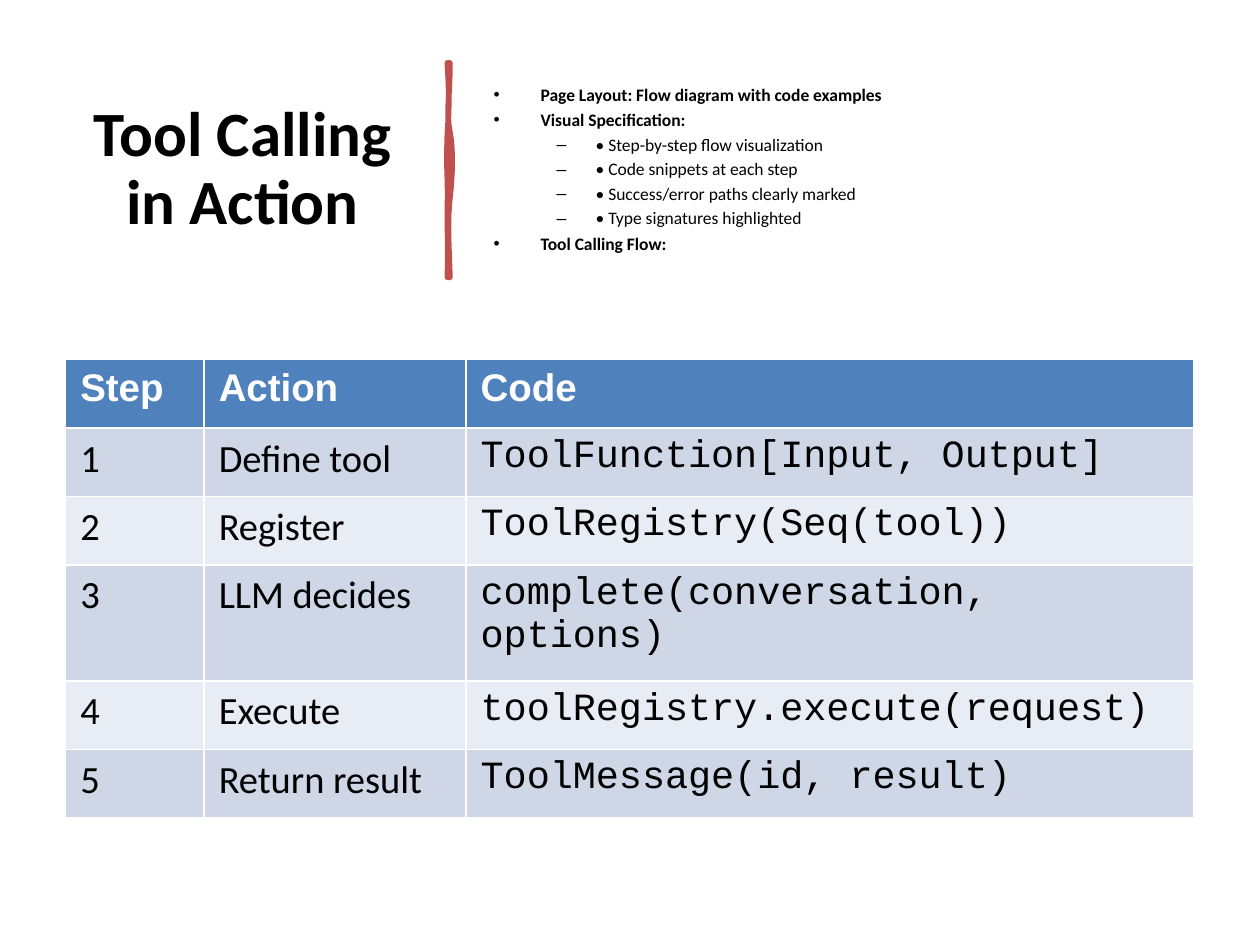
"""Build a slide on the steps of tool calling, with a bulleted outline and a code table."""
from typing import NamedTuple

from lxml.etree import SubElement
from pptx import Presentation
from pptx.dml.color import RGBColor
from pptx.enum.text import MSO_ANCHOR as Anchor, MSO_AUTO_SIZE as AutoSize, PP_ALIGN as Align
from pptx.oxml.ns import qn
from pptx.util import Cm, Pt

BLACK, WHITE, RED, BLUE = "000000", "FFFFFF", "C0504D", "4F81BD"
BANDS = ("CFD7E7", "E8ECF4")
LEFT, TOP, HEADER_HEIGHT = 1.32, 1.4, 4.06


class OutlineLevel(NamedTuple):
    marker: str
    margin: float
    hanging: float
    space_before: float
    bold: bool


class OutlineItem(NamedTuple):
    text: str
    level: int = 0


class Step(NamedTuple):
    number: str
    action: str
    code: str
    height: float = 1.38


LEVELS = (
    OutlineLevel("•", 0.95, 0.95, 3.6, True),
    OutlineLevel("–", 2.06, 0.79, 3.2, False),
)
OUTLINE = (
    OutlineItem("Page Layout: Flow diagram with code examples"),
    OutlineItem("Visual Specification:"),
    OutlineItem("• Step-by-step flow visualization", 1),
    OutlineItem("• Code snippets at each step", 1),
    OutlineItem("• Success/error paths clearly marked", 1),
    OutlineItem("• Type signatures highlighted", 1),
    OutlineItem("Tool Calling Flow:"),
)
STEPS = (
    Step("Step", "Action", "Code"),
    Step("1", "Define tool", "ToolFunction[Input, Output]"),
    Step("2", "Register", "ToolRegistry(Seq(tool))"),
    Step("3", "LLM decides", "complete(conversation, options)", 2.34),
    Step("4", "Execute", "toolRegistry.execute(request)"),
    Step("5", "Return result", "ToolMessage(id, result)"),
)
COLUMN_WIDTHS = (2.79, 5.28, 14.68)
BRUSH_START = (9.07, 1.27)
BRUSH_CURVES = (
    ((9.07, 1.96), (8.99, 2.29), (9.07, 2.67)),
    ((9.14, 3.05), (9.12, 3.53), (9.07, 3.99)),
    ((9.02, 4.42), (9.04, 4.8), (9.07, 5.59)),
    ((9.07, 5.59), (9.04, 5.59), (9.02, 5.59)),
    ((9.04, 4.98), (9.02, 4.9), (9.02, 4.24)),
    ((9.04, 3.56), (8.99, 3.45), (9.02, 2.72)),
    ((9.07, 1.96), (9.04, 1.65), (9.02, 1.27)),
)


def rgb(value: str) -> RGBColor:
    return RGBColor.from_string(value)


def set_font(paragraph, size: float, name: str, color: str, bold: bool) -> None:
    font = paragraph.font
    font.size, font.name, font.bold = Pt(size), name, bold
    font.color.rgb = rgb(color)


def add_title(slide, text: str) -> None:
    title = slide.shapes.title
    title.left, title.top, title.width, title.height = map(Cm, (LEFT, TOP, 7.14, HEADER_HEIGHT))
    frame = title.text_frame
    frame.text = text
    frame.auto_size, frame.vertical_anchor = AutoSize.NONE, Anchor.MIDDLE
    paragraph = frame.paragraphs[0]
    paragraph.alignment, paragraph.line_spacing = Align.CENTER, 0.9
    set_font(paragraph, 36, "Calibri", BLACK, True)


def curve_points(start: tuple, curves: tuple, steps: int = 8) -> list:
    points = []
    for first, second, end in curves:
        for step in range(1, steps + 1):
            t = step / steps
            weights = ((1 - t) ** 3, 3 * t * (1 - t) ** 2, 3 * t * t * (1 - t), t ** 3)
            corners = (start, first, second, end)
            points.append(tuple(
                Cm(sum(w * corner[axis] for w, corner in zip(weights, corners)))
                for axis in (0, 1)
            ))
        start = end
    return points


def add_brush_stroke(slide) -> None:
    builder = slide.shapes.build_freeform(*map(Cm, BRUSH_START))
    builder.add_line_segments(curve_points(BRUSH_START, BRUSH_CURVES), close=True)
    stroke = builder.convert_to_shape()
    stroke.shadow.inherit = False
    stroke.fill.solid()
    stroke.fill.fore_color.rgb = rgb(RED)
    stroke.line.color.rgb = rgb(RED)
    stroke.line.width = Pt(3.25)
    SubElement(stroke.line._get_or_add_ln(), qn("a:round"))


def add_outline(slide, items: tuple) -> None:
    box = slide.shapes.add_textbox(*map(Cm, (9.7, TOP, 14.38, HEADER_HEIGHT)))
    frame = box.text_frame
    frame.word_wrap, frame.vertical_anchor = True, Anchor.MIDDLE
    for index, item in enumerate(items):
        level = LEVELS[item.level]
        paragraph = frame.add_paragraph() if index else frame.paragraphs[0]
        paragraph.text, paragraph.level = item.text, item.level
        properties = paragraph._p.get_or_add_pPr()
        properties.set("marL", str(Cm(level.margin)))
        properties.set("indent", str(-Cm(level.hanging)))
        SubElement(properties, qn("a:buFont"), typeface="Arial")
        SubElement(properties, qn("a:buChar"), char=level.marker)
        paragraph.line_spacing = 0.9
        if index:
            paragraph.space_before = Pt(level.space_before)
        set_font(paragraph, 10, "Calibri", BLACK, level.bold)


def add_step_table(slide, steps: tuple) -> None:
    width, height = sum(COLUMN_WIDTHS), sum(step.height for step in steps)
    table = slide.shapes.add_table(
        len(steps), len(COLUMN_WIDTHS), *map(Cm, (LEFT, 7.25, width, height))
    ).table
    for column, column_width in zip(table.columns, COLUMN_WIDTHS):
        column.width = Cm(column_width)
    for index, (row, step) in enumerate(zip(table.rows, steps)):
        row.height = Cm(step.height)
        header = index == 0
        fonts = ("Arial",) * 3 if header else ("Calibri", "Calibri", "Courier New")
        for cell, text, font in zip(row.cells, step[:3], fonts):
            cell.text = text
            cell.margin_left = cell.margin_right = Cm(0.3)
            cell.margin_top = cell.margin_bottom = Cm(0.15)
            cell.fill.solid()
            cell.fill.fore_color.rgb = rgb(BLUE if header else BANDS[(index - 1) % 2])
            set_font(cell.text_frame.paragraphs[0], 22, font, WHITE if header else BLACK, header)


def main() -> None:
    deck = Presentation()
    deck.slide_width, deck.slide_height = Cm(25.4), Cm(19.05)
    slide = deck.slides.add_slide(deck.slide_layouts[5])
    add_title(slide, "Tool Calling in Action")
    add_brush_stroke(slide)
    add_outline(slide, OUTLINE)
    add_step_table(slide, STEPS)
    deck.save("out.pptx")


if __name__ == "__main__":
    main()
